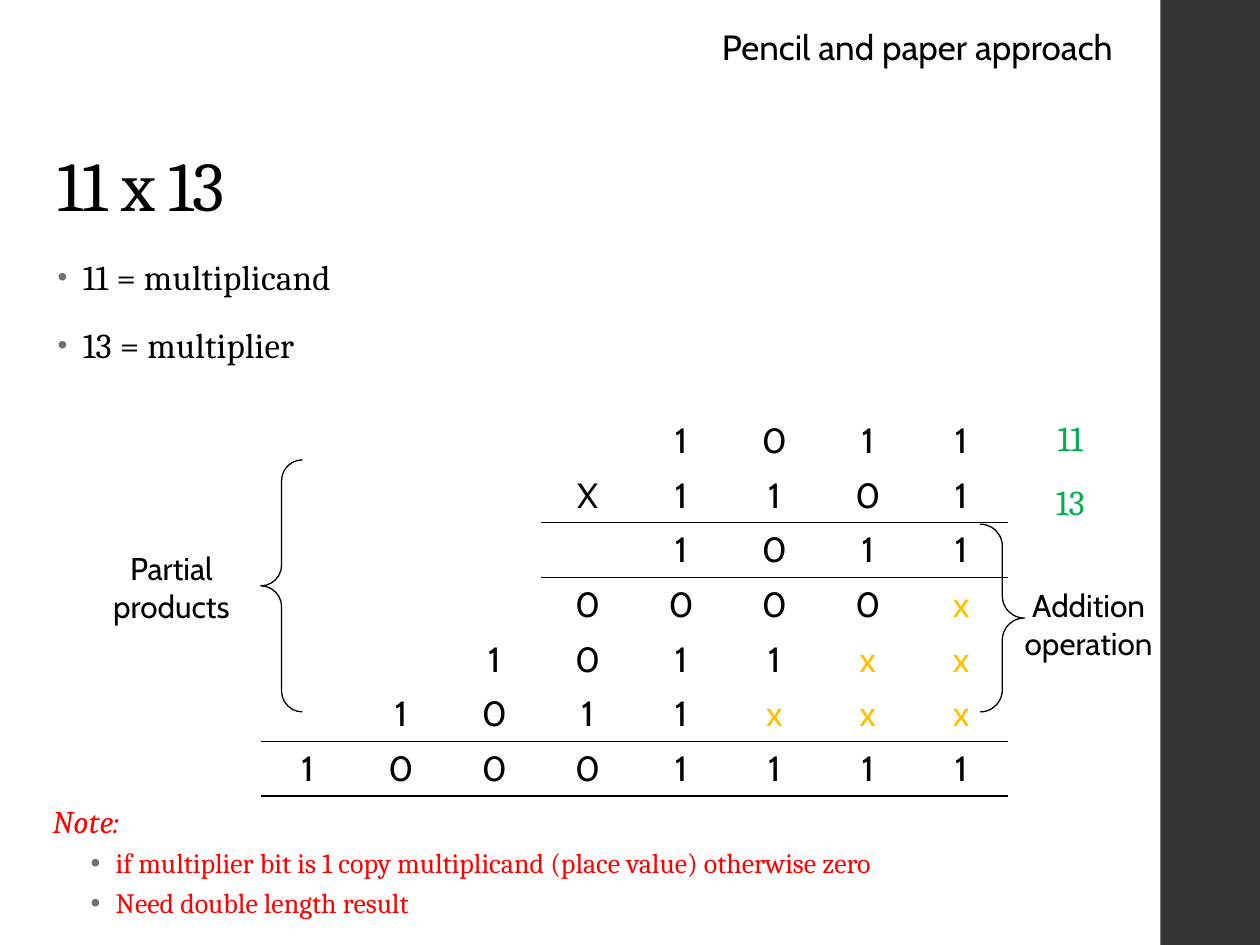
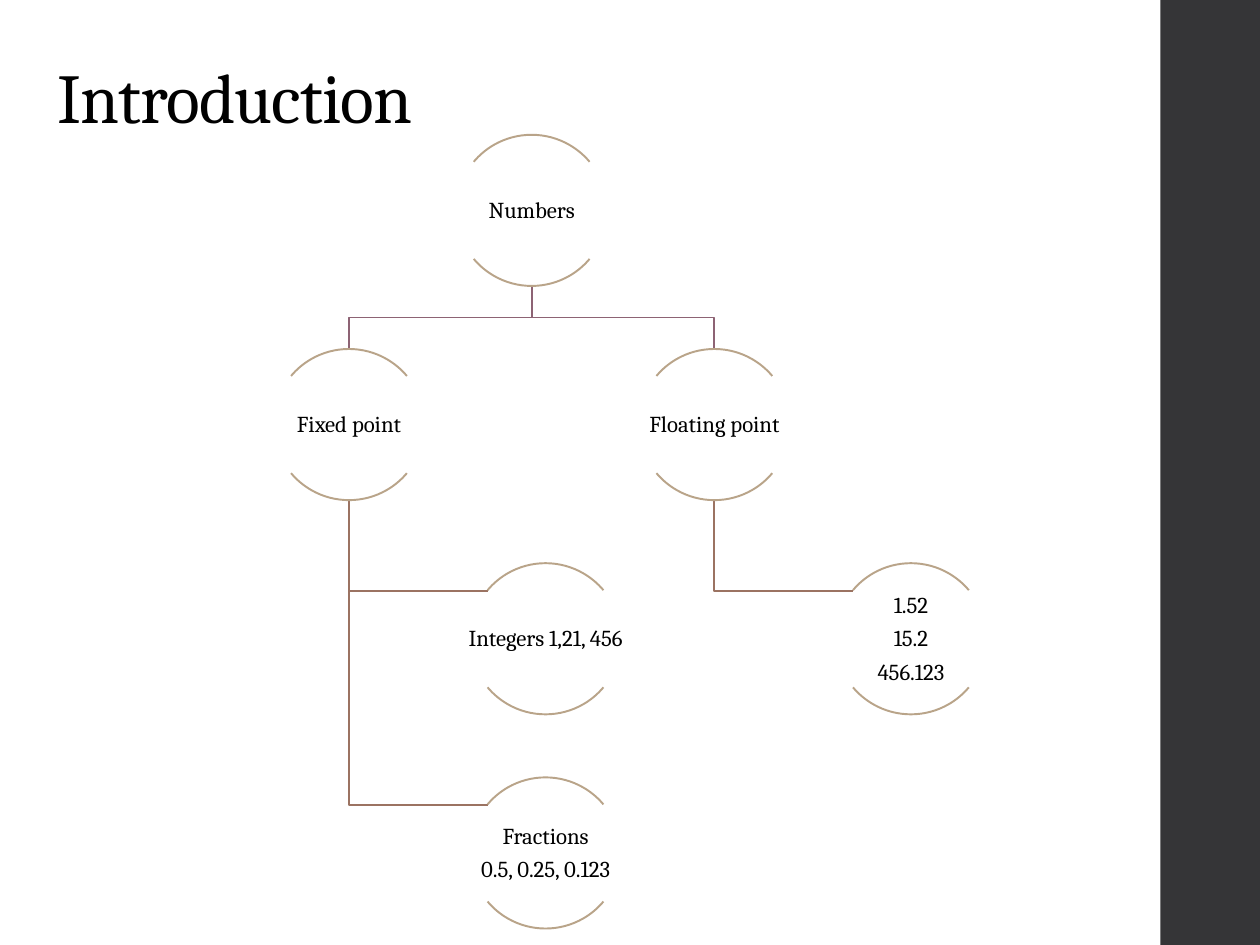
from lxml.etree import SubElement
from pptx import Presentation
from pptx.dml.color import RGBColor
from pptx.enum.shapes import MSO_SHAPE
from pptx.enum.text import MSO_ANCHOR, PP_ALIGN
from pptx.oxml import parse_xml
from pptx.oxml.ns import nsdecls, qn
from pptx.util import Inches, Pt

BLACK = RGBColor(0x00, 0x00, 0x00)
CHARCOAL = RGBColor(0x35, 0x35, 0x37)
GREY = RGBColor(0x6F, 0x6F, 0x74)
GREEN = RGBColor(0x00, 0xB0, 0x50)
RED = RGBColor(0xFF, 0x00, 0x00)
AMBER = RGBColor(0xFF, 0xC0, 0x00)
TAN = RGBColor(0xB9, 0xA4, 0x89)
PLUM = RGBColor(0x8D, 0x63, 0x74)
BROWN = RGBColor(0x9B, 0x73, 0x62)

SERIF = "Cambria"
SANS = "Cabin"
NO_STYLE = "{2D5ABB26-0587-4C30-8999-92F81FD0307C}"

CENTER = {"alignment": PP_ALIGN.CENTER}
TIGHT = {"line_spacing": 0.9}
BODY = {"line_spacing": 0.95, "space_after": Pt(2)}
NODE = CENTER | TIGHT | {"space_after": Pt(5)}
NOTE_ITEM = TIGHT | {"space_before": Pt(3), "space_after": Pt(3)}

TITLE_FONT = {"name": SERIF, "size": Pt(40)}
BODY_FONT = {"name": SERIF, "size": Pt(20)}
NOTE_FONT = {"name": SERIF, "size": Pt(18), "italic": True}
ITEM_FONT = {"name": SERIF, "size": Pt(16)}
NODE_FONT = {"name": SERIF, "size": Pt(13)}
LABEL_FONT = {"name": SANS, "size": Pt(18)}
DIGIT_FONT = {"name": SANS, "size": Pt(20)}

MULTIPLICATION = [
    "     1011",
    "    X1101",
    "     1011",
    "    0000x",
    "   1011xx",
    "  1011xxx",
    " 10001111",
]
RULED_FROM = {1: 4, 5: 1, 6: 1}

CIRCLE = 1.2
ROW_TOPS = [1.07 + 1.7 * row for row in range(4)]
ROOT_X, FIXED_X, FLOATING_X = 4.22, 2.77, 5.67
LEAF_SHIFT = 1.56
ARC_END_X, ARC_END_Y = 0.46, 0.22


def apply_format(target, values):
    """Set every attribute named in a dict of format values."""
    for name, value in values.items():
        setattr(target, name, value)


def add_span(para, text, font, color=BLACK, spacing=0):
    """Add one formatted run to a paragraph."""
    span = para.add_run()
    span.text = text
    apply_format(span.font, font)
    span.font.color.rgb = color
    if spacing:
        span.font._element.set("spc", str(round(spacing * 100)))


def add_bullet(para, indent, percent=100):
    """Give a paragraph a grey hanging bullet."""
    props = para._p.get_or_add_pPr()
    props.set("marL", str(Inches(indent)))
    props.set("indent", str(-Inches(0.2)))
    SubElement(SubElement(props, qn("a:buClr")), qn("a:srgbClr")).set("val", str(GREY))
    SubElement(props, qn("a:buSzPct")).set("val", str(percent * 1000))
    SubElement(props, qn("a:buFont")).set("typeface", "Arial")
    SubElement(props, qn("a:buChar")).set("char", "•")


def add_box(page, place, anchor=MSO_ANCHOR.TOP, wrap=True, margin=None):
    """Add an empty text box and return its frame."""
    frame = page.shapes.add_textbox(*map(Inches, place)).text_frame
    frame.word_wrap = wrap
    frame.vertical_anchor = anchor
    if margin is not None:
        sides = ("left", "right", "top", "bottom")
        apply_format(frame, {f"margin_{side}": Inches(margin) for side in sides})
    return frame


def next_para(frame, layout):
    """Return the next free paragraph of a frame, formatted."""
    first = frame.paragraphs[0]
    para = frame.add_paragraph() if first.runs else first
    apply_format(para, layout)
    return para


def add_label(page, place, text, font, layout, color=BLACK, spacing=0, **box):
    """Add a text box with one paragraph."""
    frame = add_box(page, place, **box)
    add_span(next_para(frame, layout), text, font, color, spacing)


def add_page(deck, title, title_height):
    """Add a page with the side band and the title."""
    page = deck.slides.add_slide(deck.slide_layouts[6])
    band = page.shapes.add_shape(
        MSO_SHAPE.RECTANGLE, *map(Inches, (9.21, 0, 0.79, 7.5)))
    band.shadow.inherit = False
    band.fill.solid()
    band.fill.fore_color.rgb = CHARCOAL
    band.line.fill.background()
    add_label(page, (0.36, 0.4, 8.63, title_height), title, TITLE_FONT, TIGHT,
              spacing=-0.5, anchor=MSO_ANCHOR.BOTTOM)
    return page


def style_outline(shape, color, width):
    """Leave a shape with an outline only."""
    shape.shadow.inherit = False
    shape.fill.background()
    shape.line.color.rgb = color
    shape.line.width = Pt(width)


def add_outline(page, kind, place, adjustments, color, width):
    """Add an unfilled preset shape."""
    shape = page.shapes.add_shape(kind, *map(Inches, place))
    for index, value in enumerate(adjustments):
        shape.adjustments[index] = value
    style_outline(shape, color, width)


def add_rule(cell, side):
    """Draw a black border on one side of a cell."""
    cell._tc.get_or_add_tcPr().insert(0, parse_xml(
        f'<a:{side} {nsdecls("a")} w="12700"><a:solidFill>'
        f'<a:srgbClr val="{BLACK}"/></a:solidFill></a:{side}>'))


def add_multiplication(page):
    """Add the table with the binary long multiplication."""
    rows, columns = len(MULTIPLICATION), len(MULTIPLICATION[0])
    table = page.shapes.add_table(
        rows, columns, *map(Inches, (1.33, 3.28, 6.67, 2.84))).table
    table.first_row = table.horz_banding = False
    table._tbl.tblPr.find(qn("a:tableStyleId")).text = NO_STYLE
    for row, digits in enumerate(MULTIPLICATION):
        for column, digit in enumerate(digits):
            cell = table.cell(row, column)
            cell.fill.background()
            cell.vertical_anchor = MSO_ANCHOR.MIDDLE
            if column >= RULED_FROM.get(row, columns):
                add_rule(cell, "lnB")
            if column >= RULED_FROM.get(row - 1, columns):
                add_rule(cell, "lnT")
            if digit != " ":
                para = next_para(cell.text_frame, CENTER)
                add_span(para, digit, DIGIT_FONT, AMBER if digit == "x" else BLACK)


def add_path(page, points, color):
    """Draw an open line through points given in inches."""
    start, *others = [tuple(map(Inches, point)) for point in points]
    builder = page.shapes.build_freeform(*start)
    builder.add_line_segments(others, close=False)
    style_outline(builder.convert_to_shape(), color, 1.1)


def add_branch(page, parent_x, child_x):
    """Link the root to a circle of the second row."""
    top, bottom = ROW_TOPS[0] + CIRCLE, ROW_TOPS[1]
    middle = (top + bottom) / 2
    add_path(page, [(parent_x, top), (parent_x, middle),
                    (child_x, middle), (child_x, bottom)], PLUM)


def add_leaf_link(page, parent_x, row):
    """Link a circle of the second row to a leaf on its right."""
    level = ROW_TOPS[row] + ARC_END_Y
    add_path(page, [(parent_x, ROW_TOPS[1] + CIRCLE), (parent_x, level),
                    (parent_x + LEAF_SHIFT - ARC_END_X, level)], BROWN)


def add_node(page, center_x, row, lines):
    """Add a pair of arcs with centred text between them."""
    top = ROW_TOPS[row]
    for angles in ((220, 320), (40, 140)):
        add_outline(page, MSO_SHAPE.ARC,
                    (center_x - CIRCLE / 2, top, CIRCLE, CIRCLE),
                    [angle * 0.6 for angle in angles], TAN, 1.1)
    frame = add_box(page, (center_x - 1.2, top + 0.22, 2.4, 0.77),
                    MSO_ANCHOR.MIDDLE, margin=0.01)
    for line in lines:
        add_span(next_para(frame, NODE), line, NODE_FONT)


def build_multiplication_page(deck):
    """Build the page on pencil and paper multiplication."""
    page = add_page(deck, "11 x 13", 1.45)
    frame = add_box(page, (0.36, 2, 8.63, 1.2))
    for index, text in enumerate(("11 = multiplicand", "13 = multiplier")):
        para = next_para(frame, BODY | ({"space_before": Pt(14)} if index else {}))
        add_bullet(para, 0.2, 80)
        add_span(para, text, BODY_FONT, spacing=0.1)

    add_multiplication(page)
    for text, top in (("11", 3.28), ("13", 3.79)):
        add_label(page, (8.14, top, 0.71, 0.48), text, BODY_FONT,
                  CENTER | BODY, GREEN, 0.1)

    note = add_box(page, (0.32, 6.35, 8.85, 1.11))
    add_span(next_para(note, TIGHT | {"space_after": Pt(2)}), "Note:",
             NOTE_FONT, RED, 0.1)
    for text in (
        "if multiplier bit is 1 copy multiplicand (place value) otherwise zero",
        "Need double length result",
    ):
        para = next_para(note, NOTE_ITEM)
        para.level = 1
        add_bullet(para, 0.5)
        add_span(para, text, ITEM_FONT, RED)

    for kind, place in (
        (MSO_SHAPE.LEFT_BRACE, (2.07, 3.65, 0.33, 2)),
        (MSO_SHAPE.RIGHT_BRACE, (7.78, 4.16, 0.35, 1.49)),
    ):
        add_outline(page, kind, place, (0.5, 0.5), BLACK, 0.75)
    for text, left, top in (
        ("Partial products", 0.72, 4.31),
        ("Addition operation", 8, 4.6),
    ):
        add_label(page, (left, top, 1.28, 0.71), text, LABEL_FONT, CENTER)
    add_label(page, (5.63, 0.15, 3.48, 0.44), "Pencil and paper approach",
              DIGIT_FONT, {}, wrap=False)


def build_introduction_page(deck):
    """Build the page with the tree of number kinds."""
    page = add_page(deck, "Introduction", 0.75)
    for child_x in (FLOATING_X, FIXED_X):
        add_branch(page, ROOT_X, child_x)
    for parent_x, row in ((FLOATING_X, 2), (FIXED_X, 3), (FIXED_X, 2)):
        add_leaf_link(page, parent_x, row)
    for center_x, row, lines in (
        (ROOT_X, 0, ["Numbers"]),
        (FIXED_X, 1, ["Fixed point"]),
        (FIXED_X + LEAF_SHIFT, 2, ["Integers 1,21, 456"]),
        (FIXED_X + LEAF_SHIFT, 3, ["Fractions", "0.5, 0.25, 0.123"]),
        (FLOATING_X, 1, ["Floating point"]),
        (FLOATING_X + LEAF_SHIFT, 2, ["1.52", "15.2", "456.123"]),
    ):
        add_node(page, center_x, row, lines)


def main():
    """Build the deck and save it."""
    deck = Presentation()
    deck.slide_width, deck.slide_height = Inches(10), Inches(7.5)
    build_multiplication_page(deck)
    build_introduction_page(deck)
    deck.save("out.pptx")


if __name__ == "__main__":
    main()
